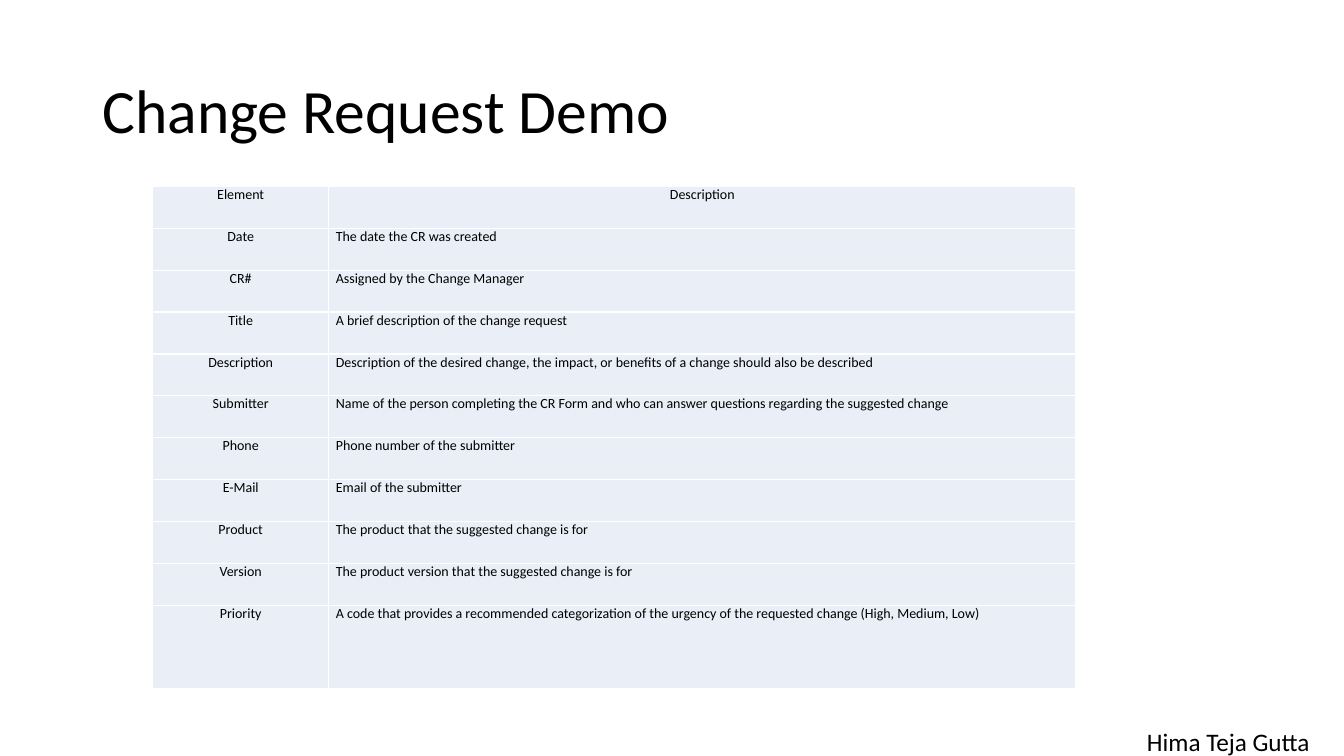
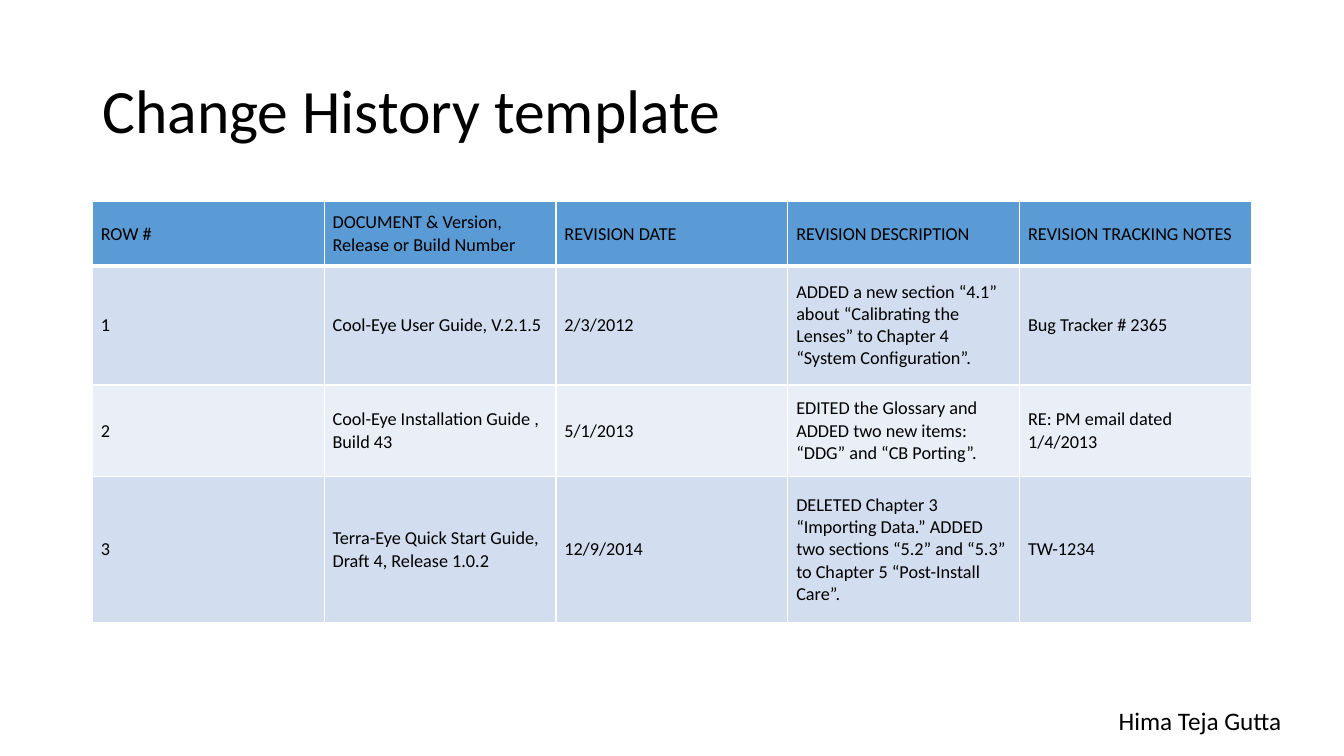
from lxml import etree
from pptx import Presentation
from pptx.dml.color import RGBColor
from pptx.enum import text
from pptx.oxml import ns
from pptx.util import Pt

# Shared style
FONT = "Calibri"
BLACK = RGBColor(0x00, 0x00, 0x00)
WHITE = RGBColor(0xFF, 0xFF, 0xFF)
HEADER_BLUE = RGBColor(0x5B, 0x9B, 0xD5)
BAND_BLUE = RGBColor(0xD2, 0xDE, 0xEF)
PALE_BLUE = RGBColor(0xEA, 0xEF, 0xF7)
LEFT, CENTER = text.PP_ALIGN.LEFT, text.PP_ALIGN.CENTER
TOP, MIDDLE = text.MSO_ANCHOR.TOP, text.MSO_ANCHOR.MIDDLE
AUTHOR = "Hima Teja Gutta"

# Table contents
REQUEST_ROWS = [
    ("Element", "Description"),
    ("Date", "The date the CR was created"),
    ("CR#", "Assigned by the Change Manager"),
    ("Title", "A brief description of the change request"),
    ("Description", "Description of the desired change, the impact, or benefits "
     "of a change should also be described"),
    ("Submitter", "Name of the person completing the CR Form and who can answer "
     "questions regarding the suggested change"),
    ("Phone", "Phone number of the submitter"),
    ("E-Mail", "Email of the submitter"),
    ("Product", "The product that the suggested change is for"),
    ("Version", "The product version that the suggested change is for"),
    ("Priority", "A code that provides a recommended categorization of the "
     "urgency of the requested change (High, Medium, Low)"),
]
HISTORY_ROWS = [
    ("ROW #", "DOCUMENT & Version, Release or Build Number", "REVISION DATE",
     "REVISION DESCRIPTION", "REVISION TRACKING NOTES"),
    ("1", "Cool-Eye User Guide, V.2.1.5", "2/3/2012",
     "ADDED a new section “4.1” about “Calibrating the Lenses” to Chapter 4 "
     "“System Configuration”.", "Bug Tracker # 2365"),
    ("2", "Cool-Eye Installation Guide , Build 43", "5/1/2013",
     "EDITED the Glossary and ADDED two new items: “DDG” and “CB Porting”.",
     "RE: PM email dated 1/4/2013"),
    ("3", "Terra-Eye Quick Start Guide, Draft 4, Release 1.0.2", "12/9/2014",
     "DELETED Chapter 3 “Importing Data.” ADDED two sections “5.2” and “5.3” "
     "to Chapter 5 “Post-Install Care”.", "TW-1234"),
]


def write_text(frame, words, *, size, align=LEFT, line_spacing=None, space=0):
    """Write one formatted paragraph into a text frame."""
    paragraph = frame.paragraphs[0]
    paragraph.alignment = align
    paragraph.line_spacing = line_spacing
    paragraph.space_before = paragraph.space_after = Pt(space)
    run = paragraph.add_run()
    run.text = words
    run.font.name = FONT
    run.font.size = Pt(size)
    run.font.bold = False
    run.font.color.rgb = BLACK


def place(shape, left, top, width, height):
    shape.left, shape.top = Pt(left), Pt(top)
    shape.width, shape.height = Pt(width), Pt(height)


def add_titled_slide(presentation, title):
    slide = presentation.slides.add_slide(presentation.slide_layouts[5])
    shape = slide.shapes.title
    place(shape, 66, 28.8, 828, 104.4)
    frame = shape.text_frame
    frame.auto_size = text.MSO_AUTO_SIZE.NONE
    frame.vertical_anchor = MIDDLE
    write_text(frame, title, size=44, line_spacing=0.9)
    return slide


def add_author(slide, left, top, height):
    shape = slide.shapes.add_textbox(Pt(left), Pt(top), Pt(132.5), Pt(height))
    shape.text_frame.word_wrap = False
    write_text(shape.text_frame, AUTHOR, size=18)


def set_borders(cell, bottom=1, top=1):
    """Draw white lines on all four sides of a cell."""
    properties = cell._tc.get_or_add_tcPr()
    for side, width in (("L", 1), ("R", 1), ("T", top), ("B", bottom)):
        line = etree.SubElement(properties, ns.qn(f"a:ln{side}"), w=str(Pt(width)))
        fill = etree.SubElement(line, ns.qn("a:solidFill"))
        etree.SubElement(fill, ns.qn("a:srgbClr"), val=str(WHITE))


def add_grid(slide, left, top, widths, heights):
    """Add an unbanded table with the given column and row sizes."""
    table = slide.shapes.add_table(
        len(heights), len(widths), Pt(left), Pt(top),
        Pt(sum(widths)), Pt(sum(heights))).table
    table.first_row = table.horz_banding = False
    for column, width in zip(table.columns, widths):
        column.width = Pt(width)
    for row, height in zip(table.rows, heights):
        row.height = Pt(height)
    return table


def fill_cell(cell, words, color, *, anchor, margins, borders, **text_format):
    side, edge = margins
    cell.margin_left = cell.margin_right = Pt(side)
    cell.margin_top = cell.margin_bottom = Pt(edge)
    cell.vertical_anchor = anchor
    set_borders(cell, **borders)
    cell.fill.solid()
    cell.fill.fore_color.rgb = color
    write_text(cell.text_frame, words, **text_format)


def add_request_table(slide):
    table = add_grid(slide, 108.9, 133.2, [126, 533.5], [29.93] * 10 + [59.9])
    for row, entries in enumerate(REQUEST_ROWS):
        header = row == 0
        for column, words in enumerate(entries):
            fill_cell(table.cell(row, column), words, PALE_BLUE,
                      anchor=TOP, margins=(5, 0), borders={}, size=10,
                      align=CENTER if header or column == 0 else LEFT,
                      line_spacing=None if header else Pt(12),
                      space=1 if header else 0)


def add_history_table(slide):
    table = add_grid(slide, 66, 144, [165.6] * 5, [46, 85, 65.5, 104.5])
    colors = [HEADER_BLUE, BAND_BLUE, PALE_BLUE, BAND_BLUE]
    borders = [{"bottom": 3}, {"top": 3}, {}, {}]
    for row, entries in enumerate(HISTORY_ROWS):
        for column, words in enumerate(entries):
            fill_cell(table.cell(row, column), words, colors[row],
                      anchor=MIDDLE, margins=(6, 3), borders=borders[row],
                      size=13)


def main():
    presentation = Presentation()
    presentation.slide_width, presentation.slide_height = Pt(960), Pt(540)

    # Change request fields
    request = add_titled_slide(presentation, "Change Request Demo")
    add_author(request, 812.2, 515.5, 51)
    add_request_table(request)

    # Revision history
    history = add_titled_slide(presentation, "Change History template")
    add_history_table(history)
    add_author(history, 792, 500.4, 29)

    presentation.save("out.pptx")


main()
